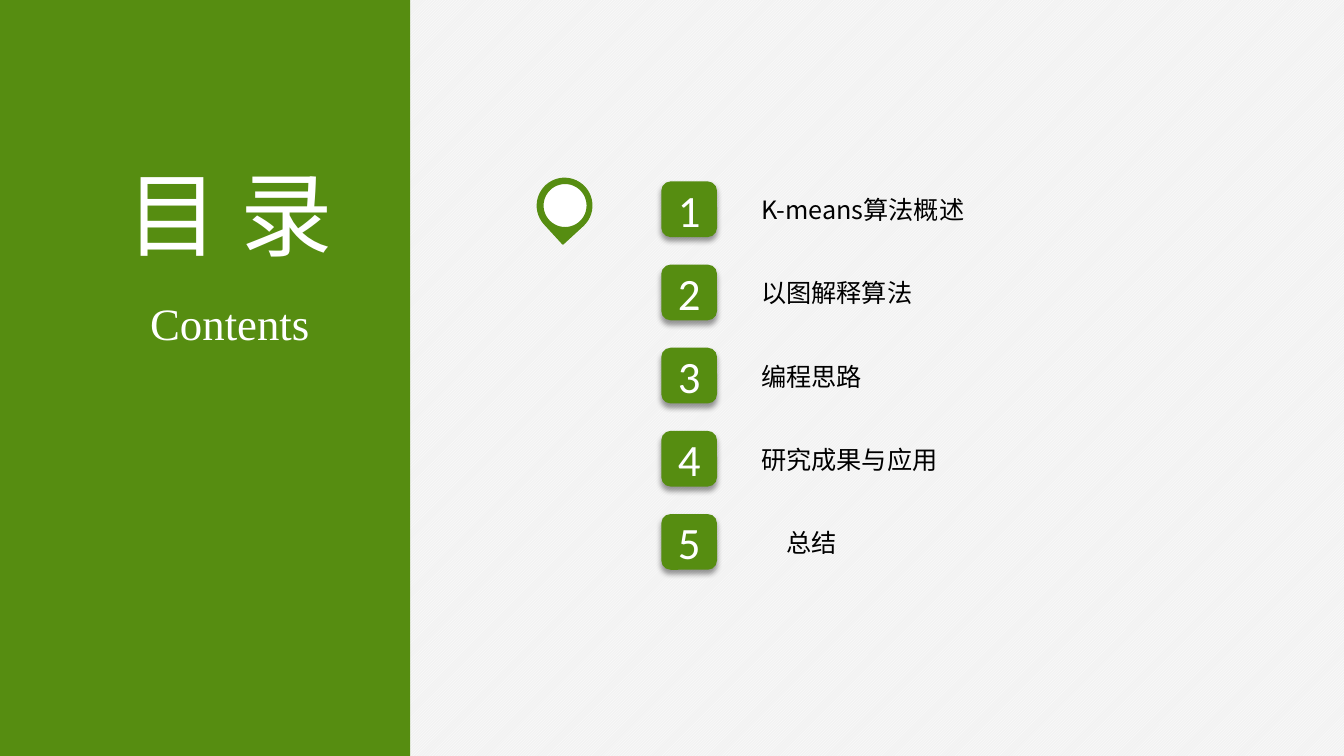
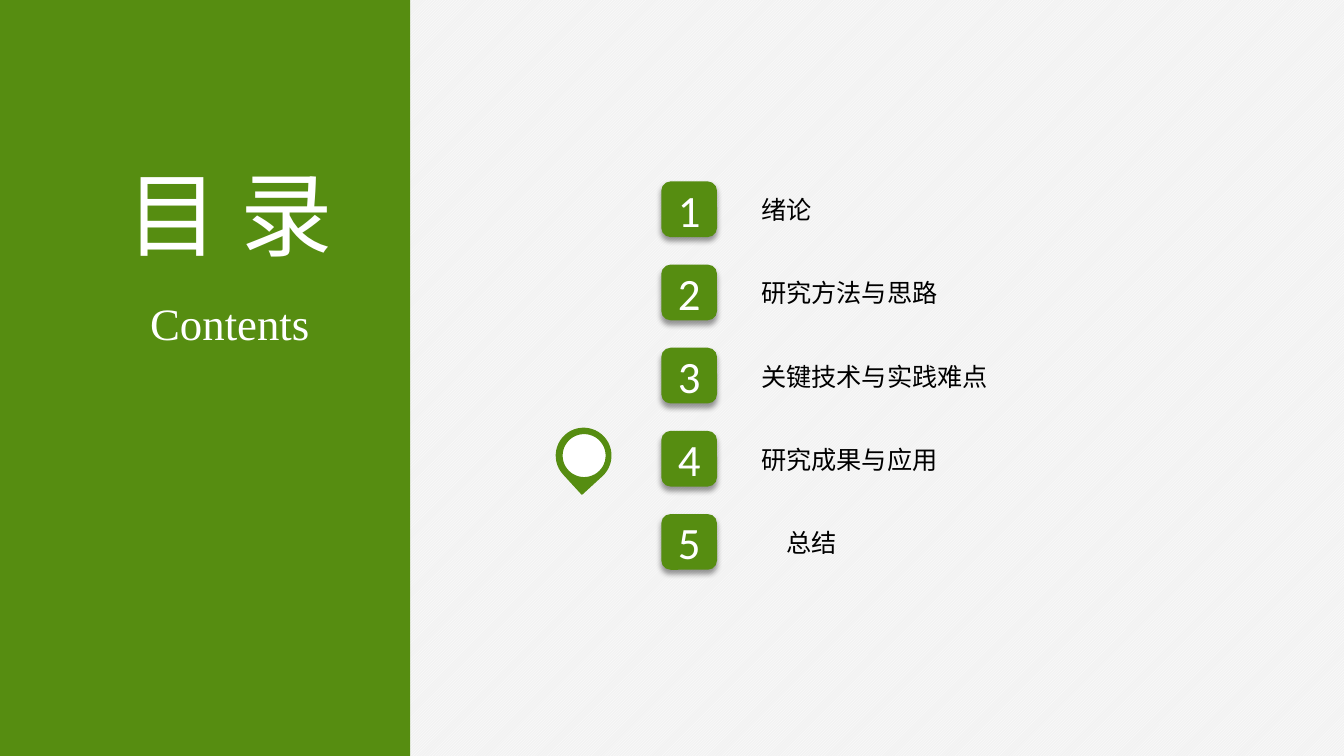
from dataclasses import dataclass

from lxml import etree
from pptx import Presentation
from pptx.dml.color import RGBColor
from pptx.enum.dml import MSO_PATTERN
from pptx.enum.shapes import MSO_SHAPE
from pptx.enum.text import MSO_ANCHOR, MSO_AUTO_SIZE, PP_ALIGN
from pptx.oxml import parse_xml
from pptx.oxml.ns import nsdecls, qn
from pptx.util import Pt

RECT, ROUNDED = MSO_SHAPE.RECTANGLE, MSO_SHAPE.ROUNDED_RECTANGLE
TEARDROP, OVAL = MSO_SHAPE.TEAR, MSO_SHAPE.OVAL
LEFT, CENTER = PP_ALIGN.LEFT, PP_ALIGN.CENTER
TOP, MIDDLE = MSO_ANCHOR.TOP, MSO_ANCHOR.MIDDLE
NO_FIT = MSO_AUTO_SIZE.NONE
HATCH = MSO_PATTERN.LIGHT_UPWARD_DIAGONAL

COLORS = {"green": "568D11", "white": "FFFFFF", "grey": "F2F2F2", "black": "000000"}
CJK = "Noto Sans CJK SC"
WIDTH, HEIGHT = 960, 540
PANEL_WIDTH = 293
NUMBER_LEFT, NUMBER_TOP, NUMBER_SIZE = 472.4, 129.6, 39.8
STEP = 59.4
ITEM_LINE = 23
LAST_INDENT = 18
PIN_SIZE, HOLE_SIZE = 38.9, 31.7


@dataclass(frozen=True)
class TextStyle:
    size: float
    font: str
    color: str
    align: PP_ALIGN = CENTER
    anchor: MSO_ANCHOR = TOP
    line: float | None = None
    after: float = 0
    wrap: bool = False


@dataclass(frozen=True)
class Contents:
    items: tuple[str, ...]
    pin_left: float
    pin_top: float


TITLE = TextStyle(66, CJK, "white", line=85)
SUBTITLE = TextStyle(32, "Times New Roman", "white")
NUMBER = TextStyle(32, "Calibri", "white", anchor=MIDDLE, wrap=True)
ITEM = TextStyle(18, CJK, "black", LEFT, line=ITEM_LINE, after=STEP - ITEM_LINE, wrap=True)

SLIDES = (
    Contents(("K-means算法概述", "以图解释算法", "编程思路", "研究成果与应用", "总结"), 383.8, 127.4),
    Contents(("绪论", "研究方法与思路", "关键技术与实践难点", "研究成果与应用", "总结"), 397.4, 306),
)


def rgb(name: str) -> RGBColor:
    return RGBColor.from_string(COLORS[name])


def place(sp, left: float, top: float, width: float, height: float) -> None:
    for name, value in dict(left=left, top=top, width=width, height=height).items():
        setattr(sp, name, Pt(value))


def write(sp, lines: tuple[str, ...], style: TextStyle) -> None:
    tf = sp.text_frame
    tf.text = "\n".join(lines)
    frame = dict(auto_size=NO_FIT, word_wrap=style.wrap, vertical_anchor=style.anchor)
    for name, value in frame.items():
        setattr(tf, name, value)
    paragraph = dict(alignment=style.align, space_before=Pt(0), space_after=Pt(style.after),
                     line_spacing=Pt(style.line) if style.line else None)
    for p in tf.paragraphs:
        for name, value in paragraph.items():
            setattr(p, name, value)
        for r in p.runs:
            r.font.size, r.font.name = Pt(style.size), style.font
            r.font.color.rgb = rgb(style.color)
            ea = etree.SubElement(r.font._element, qn("a:ea"))
            ea.set("typeface", style.font)


def add_shape(shapes, kind: MSO_SHAPE, box: tuple[float, ...], fill: str, line: str | None = None):
    sp = shapes.add_shape(kind, *map(Pt, box))
    sp.shadow.inherit = False
    sp.fill.solid()
    sp.fill.fore_color.rgb = rgb(fill)
    if line:
        sp.line.color.rgb = rgb(line)
        sp.line.width = Pt(1)
    else:
        sp.line.fill.background()
    return sp


def add_drop_shadow(sp) -> None:
    effects = sp._element.spPr.find(qn("a:effectLst"))
    effects.append(parse_xml(
        f'<a:outerShdw {nsdecls("a")} blurRad="{Pt(4)}" dist="{Pt(3)}" dir="5400000" rotWithShape="0">'
        f'<a:srgbClr val="{COLORS["black"]}"><a:alpha val="40000"/></a:srgbClr></a:outerShdw>'))


def add_panel(s) -> None:
    panel = add_shape(s.shapes, RECT, (0, 0, PANEL_WIDTH, HEIGHT), "green")
    s.shapes._spTree.insert(2, panel._element)  # behind the title
    place(s.shapes.title, 73.4, 103, 181.4, 87.1)
    write(s.shapes.title, ("目 录",), TITLE)
    subtitle = s.shapes.add_textbox(*map(Pt, (99.4, 208, 129.6, 46)))
    write(subtitle, ("Contents",), SUBTITLE)


def add_items(s, items: tuple[str, ...]) -> None:
    body = s.placeholders[1]
    place(body, 536.4, 134, 360, STEP * len(items))
    write(body, items, ITEM)
    for i, p in enumerate(body.text_frame.paragraphs):
        pPr = p._p.get_or_add_pPr()
        pPr.set("marL", str(Pt(LAST_INDENT if i == len(items) - 1 else 0)))
        pPr.set("indent", "0")
        etree.SubElement(pPr, qn("a:buNone"))
        box = (NUMBER_LEFT, NUMBER_TOP + i * STEP, NUMBER_SIZE, NUMBER_SIZE)
        number = add_shape(s.shapes, ROUNDED, box, "green")
        add_drop_shadow(number)
        write(number, (str(i + 1),), NUMBER)


def add_pin(s, left: float, top: float) -> None:
    """Mark the current item with a map pin."""
    group = s.shapes.add_group_shape()
    drop = add_shape(group.shapes, TEARDROP, (left, top, PIN_SIZE, PIN_SIZE), "green", "green")
    drop.rotation = 137.5
    add_shape(group.shapes, OVAL, (left + 4, top + 3.6, HOLE_SIZE, HOLE_SIZE), "white", "green")


def main() -> None:
    prs = Presentation()
    prs.slide_width, prs.slide_height = Pt(WIDTH), Pt(HEIGHT)
    fill = prs.slide_master.background.fill
    fill.patterned()
    fill.pattern = HATCH
    fill.fore_color.rgb, fill.back_color.rgb = rgb("white"), rgb("grey")
    for contents in SLIDES:
        s = prs.slides.add_slide(prs.slide_layouts[1])
        add_panel(s)
        add_items(s, contents.items)
        add_pin(s, contents.pin_left, contents.pin_top)
    prs.save("out.pptx")


if __name__ == "__main__":
    main()
